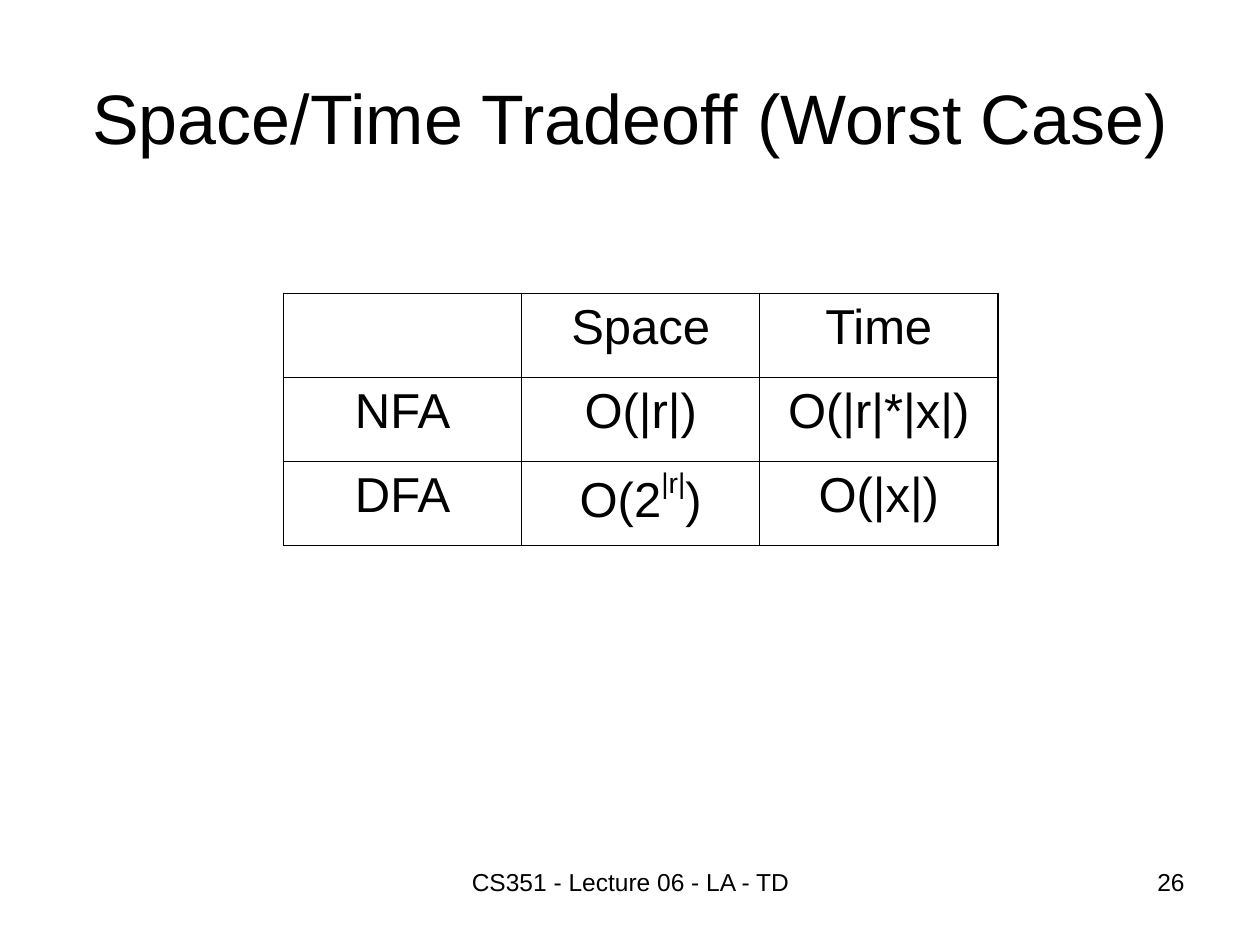
from lxml import etree
from pptx import Presentation
from pptx import util as u
from pptx.dml.color import RGBColor
from pptx.enum import text
from pptx.oxml import ns

BLACK = RGBColor(0, 0, 0)
CENTER, RIGHT = text.PP_ALIGN.CENTER, text.PP_ALIGN.RIGHT
OUTER, INNER = u.Pt(1.08), u.Pt(0.45)


def write(paragraph, words, size, alignment=CENTER):
    paragraph.alignment = alignment
    run = paragraph.add_run()
    run.text = words
    font_format = {"name": "Arial", "size": u.Pt(size), "bold": False}
    for name, value in font_format.items():
        setattr(run.font, name, value)
    run.font.color.rgb = BLACK
    return run


def add_border(cell, side, width):
    properties = cell._tc.get_or_add_tcPr()
    line = etree.SubElement(properties, ns.qn(f"a:{side}"), w=str(int(width)))
    fill = etree.SubElement(line, ns.qn("a:solidFill"))
    etree.SubElement(fill, ns.qn("a:srgbClr"), val=str(BLACK))


presentation = Presentation()
presentation.slide_width = u.Inches(10)
presentation.slide_height = u.Inches(7.5)
slide = presentation.slides.add_slide(presentation.slide_layouts[5])

# Title
title = slide.shapes.title
title_box = {"left": 0.5, "top": 0.3, "width": 9, "height": 1.25}
for name, value in title_box.items():
    setattr(title, name, u.Inches(value))
title.text_frame.vertical_anchor = text.MSO_ANCHOR.MIDDLE
write(title.text_frame.paragraphs[0], "Space/Time Tradeoff (Worst Case)", 40)

# Complexity table; the second part of a cell is its superscript
rows = [
    [[], ["Space"], ["Time"]],
    [["NFA"], ["O(|r|)"], ["O(|r|*|x|)"]],
    [["DFA"], ["O(2", "|r|", ")"], ["O(|x|)"]],
]
last = len(rows) - 1
table = slide.shapes.add_table(
    3, 3, u.Inches(2.25), u.Inches(2.33), u.Inches(5.67), u.Inches(2)
).table
table.first_row = table.horz_banding = False
for row_index, row in enumerate(rows):
    for column_index, parts in enumerate(row):
        cell = table.cell(row_index, column_index)
        paragraph = cell.text_frame.paragraphs[0]
        paragraph.space_before = u.Pt(7)
        for part_index, part in enumerate(parts):
            run = write(paragraph, part, 28)
            if part_index == 1:
                run.font._element.set("baseline", "50000")
        # Borders come before the fill in the cell properties
        on_edge = {
            "lnL": column_index == 0,
            "lnR": column_index == last,
            "lnT": row_index == 0,
            "lnB": row_index == last,
        }
        for side, is_outer in on_edge.items():
            add_border(cell, side, OUTER if is_outer else INNER)
        cell.fill.background()

# Footer and slide number
footers = [
    ("CS351 - Lecture 06 - LA - TD", 3.42, 3.17, CENTER),
    ("26", 7.17, 2.33, RIGHT),
]
for words, left, width, alignment in footers:
    shape = slide.shapes.add_textbox(
        u.Inches(left), u.Inches(6.83), u.Inches(width), u.Inches(0.52)
    )
    shape.text_frame.word_wrap = True
    write(shape.text_frame.paragraphs[0], words, 14, alignment)

presentation.save("out.pptx")
